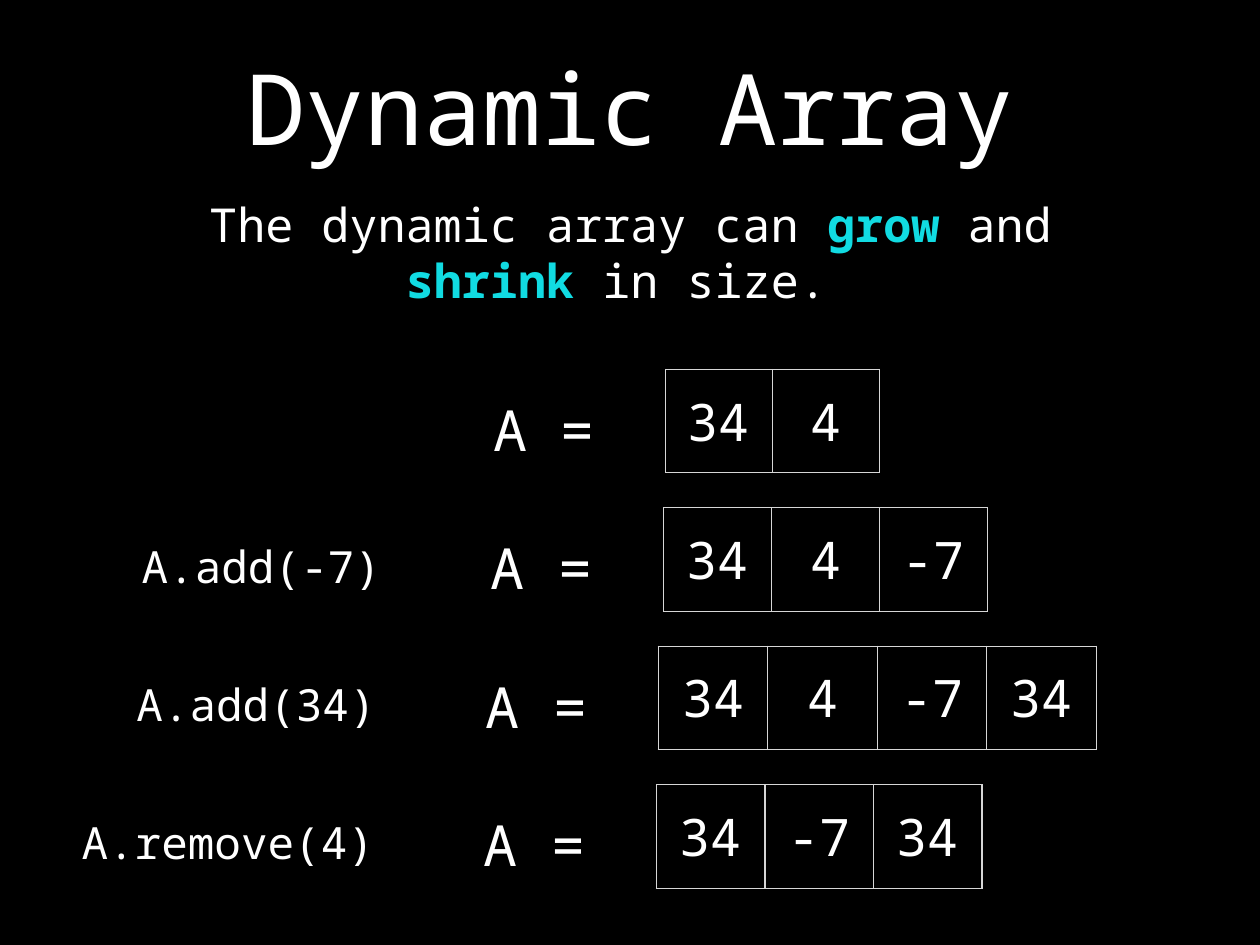
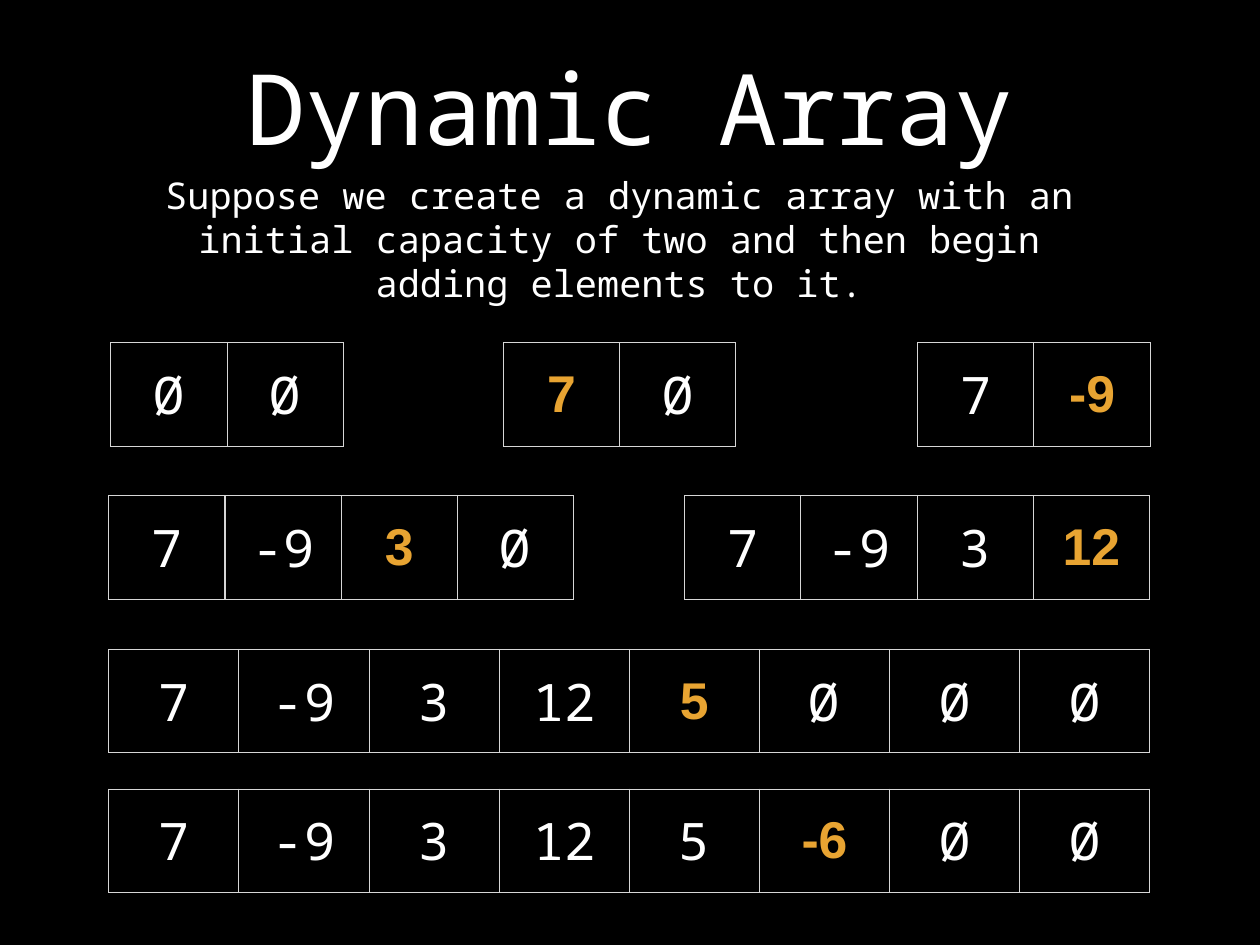
from lxml.etree import SubElement
from pptx import Presentation
from pptx.dml.color import RGBColor
from pptx.enum.text import MSO_ANCHOR as Anchor, PP_ALIGN as Align
from pptx.oxml.ns import qn
from pptx.util import Cm, Pt

BLACK = RGBColor(0x00, 0x00, 0x00)
WHITE = RGBColor(0xFF, 0xFF, 0xFF)
CYAN = RGBColor(0x11, 0xDB, 0xE2)
AMBER = RGBColor(0xE8, 0xA4, 0x32)
GRID = RGBColor(0xD6, 0xD6, 0xD6)
MONO = "Noto Sans Mono"
SANS = "Arial"
MARGIN = Cm(0.15)
CELL_HEIGHT = 2.97


def style_paragraph(paragraph, size, color=WHITE, font=MONO, bold=False):
    paragraph.alignment = Align.CENTER
    paragraph.font.size = Pt(size)
    paragraph.font.name = font
    paragraph.font.bold = bold
    paragraph.font.color.rgb = color


def add_text(slide, left, top, width, height, text, size, emphasized=(), wrap=True):
    box = slide.shapes.add_textbox(Cm(left), Cm(top), Cm(width), Cm(height))
    frame = box.text_frame
    frame.word_wrap = wrap
    frame.vertical_anchor = Anchor.MIDDLE
    frame.margin_left = frame.margin_right = MARGIN
    frame.margin_top = frame.margin_bottom = MARGIN
    paragraph = frame.paragraphs[0]
    style_paragraph(paragraph, size)
    parts = [text] if isinstance(text, str) else text
    for part in parts:
        run = paragraph.add_run()
        run.text = part
        if part in emphasized:
            run.font.bold = True
            run.font.color.rgb = CYAN


def add_borders(cell):
    properties = cell._tc.get_or_add_tcPr()
    for side in ("lnL", "lnR", "lnT", "lnB"):
        line = SubElement(properties, qn(f"a:{side}"), w=str(Pt(1)))
        fill = SubElement(line, qn("a:solidFill"))
        SubElement(fill, qn("a:srgbClr"), val=str(GRID))


def add_array(slide, left, top, cell_width, values, added=None):
    frame = slide.shapes.add_table(
        1, len(values), Cm(left), Cm(top), Cm(cell_width * len(values)), Cm(CELL_HEIGHT)
    )
    array = frame.table
    array.first_row = array.horz_banding = False
    for index, value in enumerate(values):
        array.columns[index].width = Cm(cell_width)
        cell = array.cell(0, index)
        cell.text = value
        cell.vertical_anchor = Anchor.MIDDLE
        cell.margin_left = cell.margin_right = MARGIN
        cell.margin_top = cell.margin_bottom = MARGIN
        add_borders(cell)
        cell.fill.background()
        paragraph = cell.text_frame.paragraphs[0]
        if index == added:
            style_paragraph(paragraph, 42, AMBER, SANS, True)
        else:
            style_paragraph(paragraph, 42)


def add_titled_slide(deck):
    slide = deck.slides.add_slide(deck.slide_layouts[6])
    add_text(slide, 6.6, 1, 22.94, 4.09, "Dynamic Array", 80)
    return slide


def add_operation_row(slide, left, top, cell_width, values, operation, operation_width):
    add_array(slide, left, top, cell_width, values.split())
    add_text(slide, left - 5.11, top + 0.62, 4.22, 2.18, "A = ", 46, wrap=False)
    if operation:
        add_text(slide, left - 7.16 - operation_width, top + 0.79,
                 operation_width, 1.73, operation, 36, wrap=False)


def build_operations(deck):
    slide = add_titled_slide(deck)
    sentence = ["The dynamic array can ", "grow", " and ", "shrink", " in size. "]
    add_text(slide, 4.6, 5.54, 26.95, 3.38, sentence, 38, ("grow", "shrink"))
    rows = [
        (19.08, 3.06, "34 4", "", 0),
        (19.02, 3.1, "34 4 -7", "A.add(-7) ", 7.98),
        (18.87, 3.14, "34 4 -7 34", "A.add(34) ", 7.98),
        (18.82, 3.11, "34 -7 34", "A.remove(4) ", 9.5),
    ]
    for index, (left, cell_width, values, operation, width) in enumerate(rows):
        add_operation_row(slide, left, 10.59 + 3.97 * index, cell_width,
                          values, operation, width)


def build_growth(deck):
    slide = add_titled_slide(deck)
    add_text(slide, 4.14, 4.85, 27.23, 3.99,
             "Suppose we create a dynamic array with an initial capacity of two "
             "and then begin adding elements to it.", 30)
    stages = [
        (3.18, 9.83, 3.33, "Ø Ø", None),
        (14.43, 9.83, 3.33, "7 Ø", 0),
        (26.31, 9.83, 3.33, "7 -9", 1),
        (3.12, 14.22, 3.33, "7 -9 3 Ø", 2),
        (19.63, 14.22, 3.33, "7 -9 3 12", 3),
        (3.12, 18.62, 3.73, "7 -9 3 12 5 Ø Ø Ø", 4),
        (3.12, 22.63, 3.73, "7 -9 3 12 5 -6 Ø Ø", 5),
    ]
    for left, top, cell_width, values, added in stages:
        add_array(slide, left, top, cell_width, values.split(), added)


def main():
    deck = Presentation()
    deck.slide_width = Cm(36.12)
    deck.slide_height = Cm(27.1)
    backdrop = deck.slide_master.background.fill
    backdrop.solid()
    backdrop.fore_color.rgb = BLACK
    build_operations(deck)
    build_growth(deck)
    deck.save("out.pptx")


main()
